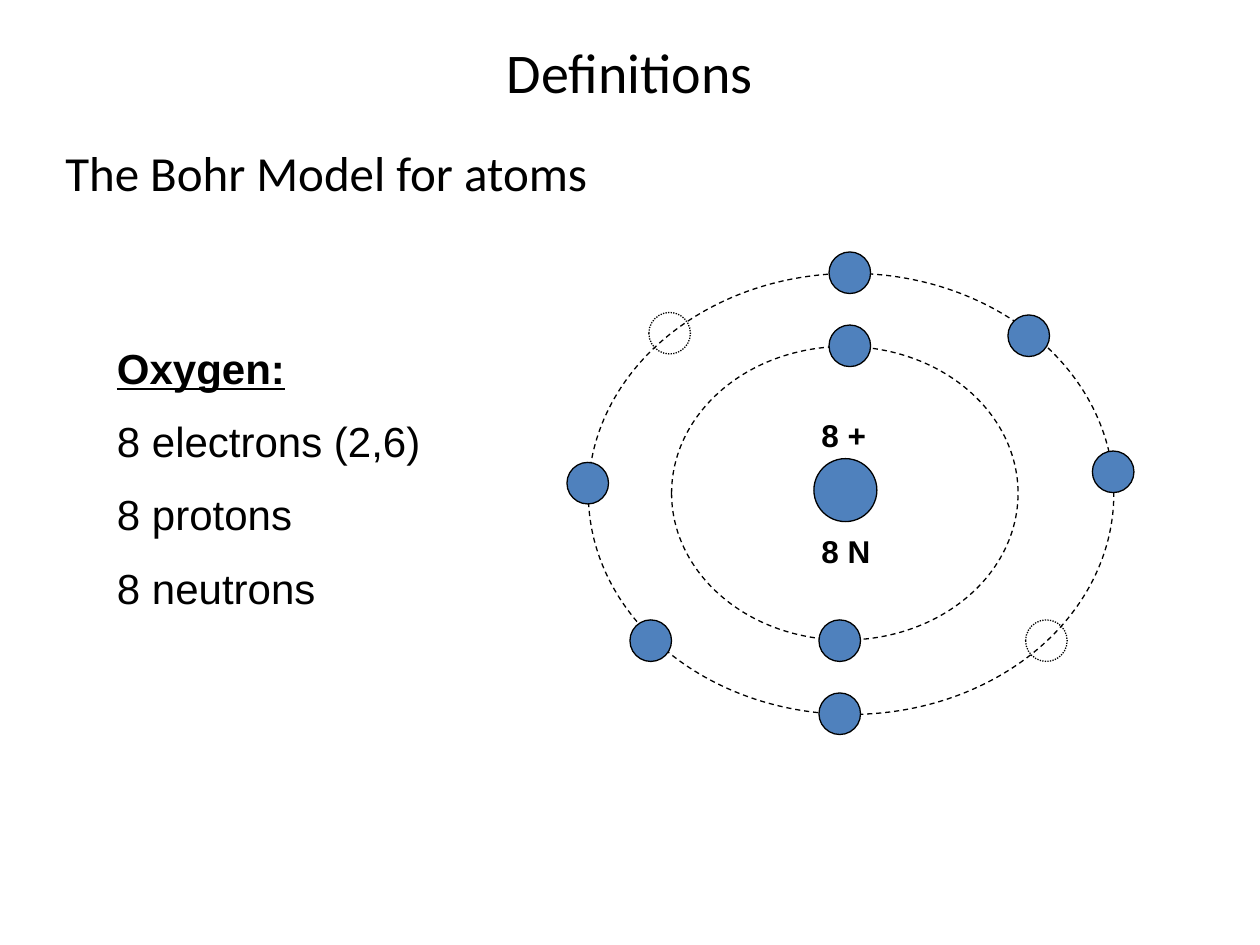
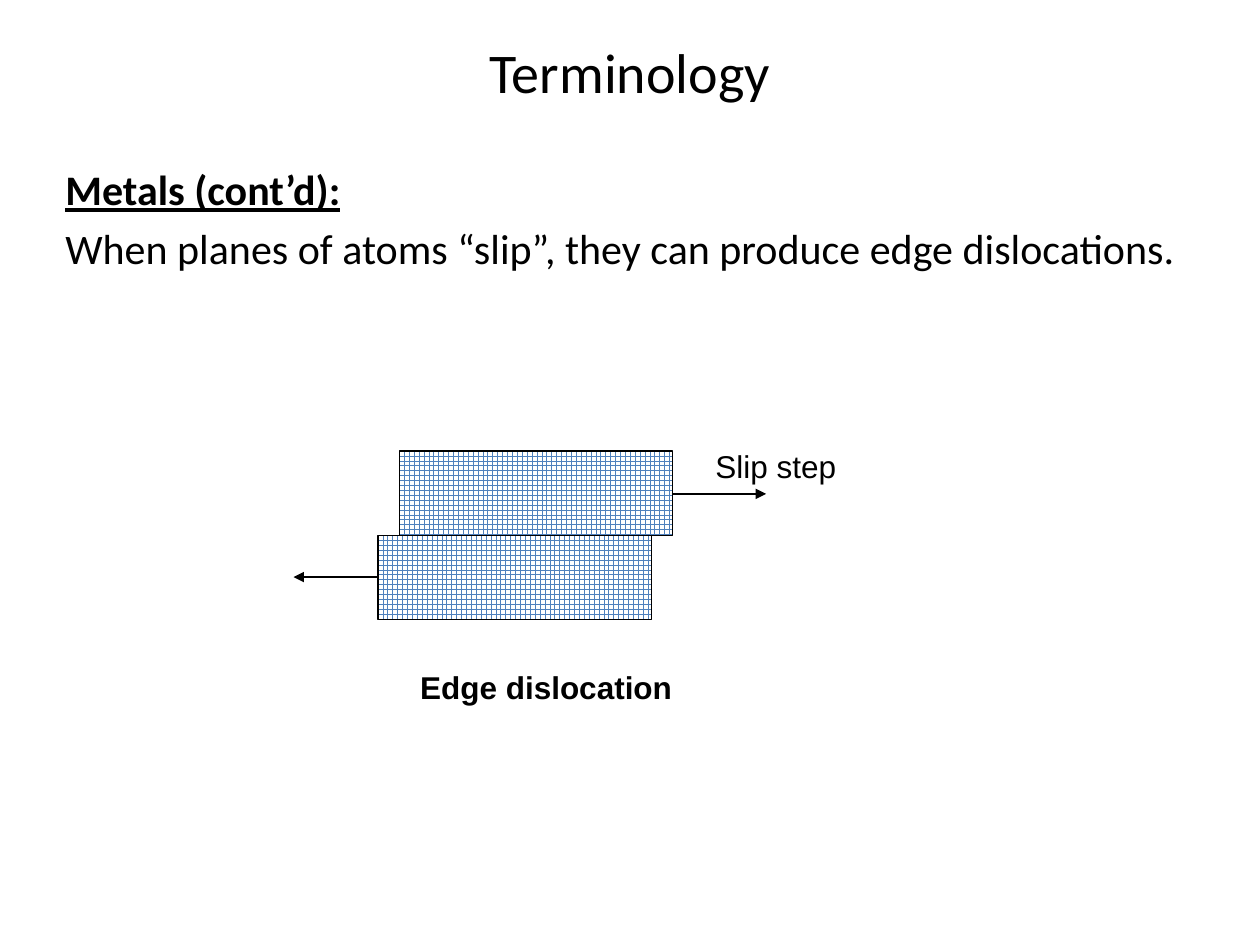
"""Build two slides: the Bohr model of oxygen and an edge dislocation."""
from typing import NamedTuple, Optional

from pptx import Presentation
from pptx.dml.color import RGBColor
from pptx.enum.dml import MSO_LINE, MSO_PATTERN
from pptx.enum.shapes import MSO_CONNECTOR, MSO_SHAPE
from pptx.enum.text import MSO_ANCHOR, PP_ALIGN
from pptx.oxml.ns import qn
from pptx.slide import Slide
from pptx.util import Inches, Pt
from lxml import etree

BLACK = RGBColor(0x00, 0x00, 0x00)
WHITE = RGBColor(0xFF, 0xFF, 0xFF)
BLUE = RGBColor(0x4F, 0x81, 0xBD)
HEAD, BODY = "Calibri", "Arial"
LEFT, CENTER = PP_ALIGN.LEFT, PP_ALIGN.CENTER
TOP, MIDDLE = MSO_ANCHOR.TOP, MSO_ANCHOR.MIDDLE
OVAL, RECT = MSO_SHAPE.OVAL, MSO_SHAPE.RECTANGLE
DASH, DOT = MSO_LINE.DASH, MSO_LINE.ROUND_DOT
GRID = MSO_PATTERN.LARGE_GRID
STRAIGHT = MSO_CONNECTOR.STRAIGHT
THIN = Pt(0.75)
DOT_SIZE = 0.33


class Box(NamedTuple):
    """Place and size in inches."""
    left: float
    top: float
    width: float
    height: float


class Label(NamedTuple):
    """Lines of text in one style, the first optionally a heading."""
    box: Box
    lines: tuple[str, ...]
    size: float
    font: str = BODY
    bold: bool = False
    headed: bool = False
    gap: float = 0
    align: PP_ALIGN = LEFT
    anchor: MSO_ANCHOR = TOP


class Ring(NamedTuple):
    """An outlined circle, filled if a colour is given."""
    box: Box
    fill: Optional[RGBColor] = None
    dash: Optional[MSO_LINE] = None


class Arrow(NamedTuple):
    """A level arrow from start to end at one height."""
    start: float
    end: float
    top: float


ELECTRONS = ((6.58, 2), (6.5, 5.5), (4.5, 3.67), (8.67, 3.58),
             (6.58, 2.58), (6.5, 4.92), (8, 2.5), (5, 4.92))
HOLES = ((5.15, 2.48), (8.14, 4.92))
RINGS = (
    Ring(Box(6.46, 3.64, 0.5, 0.5), BLUE),
    Ring(Box(5.33, 2.75, 2.75, 2.33), dash=DASH),
    Ring(Box(4.67, 2.17, 4.17, 3.5), dash=DASH),
    *(Ring(Box(x, y, DOT_SIZE, DOT_SIZE), BLUE) for x, y in ELECTRONS),
    *(Ring(Box(x, y, DOT_SIZE, DOT_SIZE), dash=DOT) for x, y in HOLES),
)
ATOM_TEXT = (
    Label(Box(0.42, 1.08, 9, 0.75), ("The Bohr Model for atoms",), 28, HEAD),
    Label(Box(0.83, 2.67, 2.92, 2.3),
          ("Oxygen:", "8 electrons (2,6)", "8 protons", "8 neutrons"),
          24, headed=True, gap=13),
    Label(Box(6.42, 3.25, 0.75, 0.4), ("8 +",), 18, bold=True),
    Label(Box(6.42, 4.17, 0.67, 0.4), ("8 N",), 18, bold=True),
)
PLANES = (Box(3.17, 3.58, 2.17, 0.67), Box(3, 4.25, 2.17, 0.67))
ARROWS = (Arrow(5.33, 6.08, 3.92), Arrow(3, 2.33, 4.58))
METAL_TEXT = (
    Label(Box(0.42, 1.25, 9.25, 1.42),
          ("Metals (cont’d):",
           "When planes of atoms “slip”, they can produce edge dislocations."),
          24, HEAD, headed=True, gap=4.5),
    Label(Box(5.58, 3.5, 1.33, 0.4), ("Slip step",), 18),
    Label(Box(3.17, 5.25, 2.33, 0.4), ("Edge dislocation",), 18,
          bold=True, align=CENTER),
)


def add_label(slide: Slide, label: Label) -> None:
    """Add a text box."""
    frame = slide.shapes.add_textbox(*map(Inches, label.box)).text_frame
    frame.word_wrap = True
    frame.vertical_anchor = label.anchor
    frame.text = "\n".join(label.lines)
    for index, line in enumerate(frame.paragraphs):
        line.alignment = label.align
        heading = label.headed and index == 0
        if index:
            line.space_before = Pt(label.gap)
        for run in line.runs:
            font = run.font
            font.name, font.size = label.font, Pt(label.size)
            font.bold = label.bold or heading
            font.underline = heading
            font.color.rgb = BLACK


def add_form(slide: Slide, kind: MSO_SHAPE, box: Box):
    """Add a shape with a thin black outline and no shadow."""
    shape = slide.shapes.add_shape(kind, *map(Inches, box))
    shape.shadow.inherit = False
    shape.line.color.rgb = BLACK
    shape.line.width = THIN
    return shape


def add_ring(slide: Slide, ring: Ring) -> None:
    """Add a nucleus, shell, electron or hole."""
    shape = add_form(slide, OVAL, ring.box)
    if ring.fill is None:
        shape.fill.background()
    else:
        shape.fill.solid()
        shape.fill.fore_color.rgb = ring.fill
    if ring.dash is not None:
        shape.line.dash_style = ring.dash


def add_plane(slide: Slide, box: Box) -> None:
    """Add a gridded block of atoms."""
    fill = add_form(slide, RECT, box).fill
    fill.patterned()
    fill.pattern = GRID
    fill.fore_color.rgb = BLUE
    fill.back_color.rgb = WHITE


def add_arrow(slide: Slide, arrow: Arrow) -> None:
    """Add a line with a triangle at its end."""
    start, end, top = map(Inches, arrow)
    line = slide.shapes.add_connector(STRAIGHT, start, top, end, top)
    line.line.color.rgb = BLACK
    line.line.width = THIN
    etree.SubElement(line.line._get_or_add_ln(), qn("a:tailEnd"), type="triangle")
    etree.SubElement(line._element.spPr, qn("a:effectLst"))


def add_page(deck, title: str) -> Slide:
    """Add a blank slide with a centred title."""
    slide = deck.slides.add_slide(deck.slide_layouts[6])
    add_label(slide, Label(Box(0.5, 0.3, 9, 0.53), (title,), 32, HEAD,
                           align=CENTER, anchor=MIDDLE))
    return slide


def main() -> None:
    """Build and save the deck."""
    deck = Presentation()
    deck.slide_width, deck.slide_height = Inches(10), Inches(7.5)

    atom = add_page(deck, "Definitions")
    for ring in RINGS:
        add_ring(atom, ring)
    for label in ATOM_TEXT:
        add_label(atom, label)

    metal = add_page(deck, "Terminology")
    for plane in PLANES:
        add_plane(metal, plane)
    for arrow in ARROWS:
        add_arrow(metal, arrow)
    for label in METAL_TEXT:
        add_label(metal, label)

    deck.save("out.pptx")


if __name__ == "__main__":
    main()
